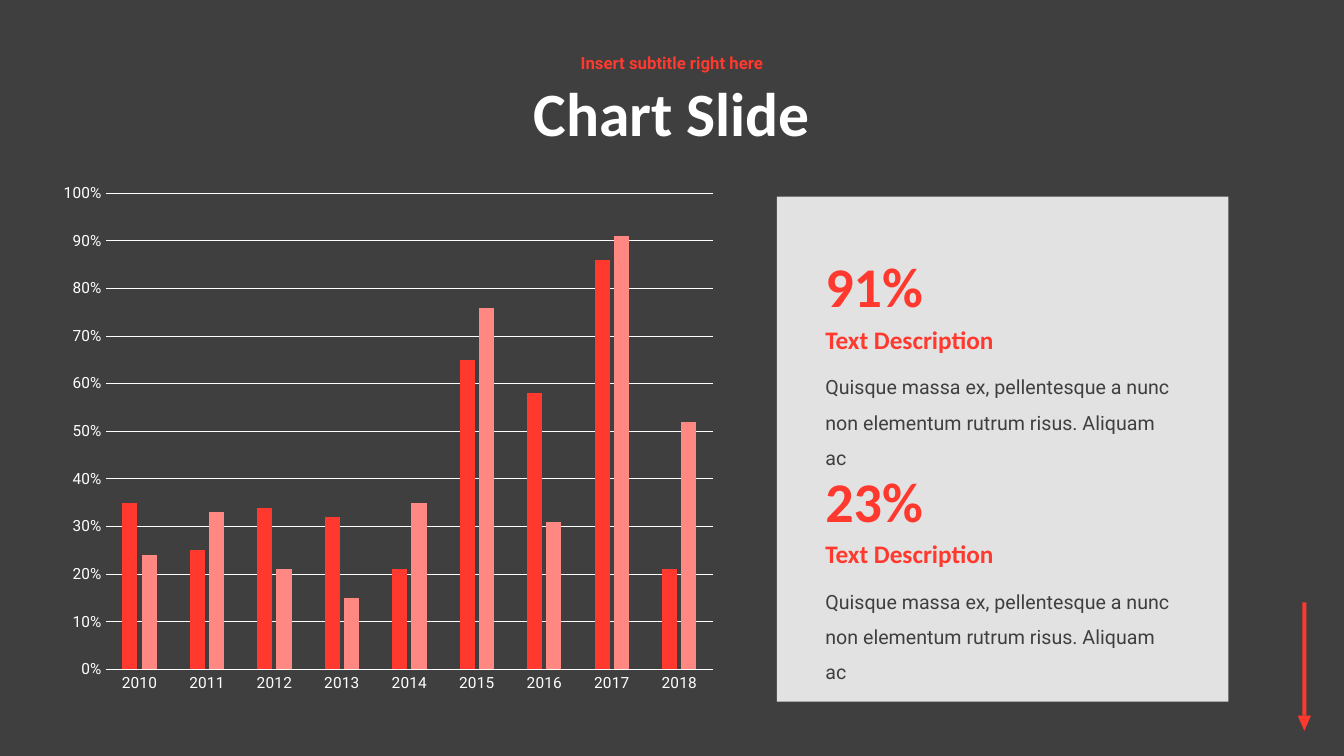
import pptx
import pptx.chart.data
import pptx.dml.color
import pptx.enum.chart
import pptx.enum.shapes
import pptx.enum.text
import pptx.oxml
import pptx.oxml.ns
import pptx.util

RED, PINK, WHITE, CHARCOAL = "FF392E", "FF8882", "FFFFFF", "3F3F3F"
HEADING, BODY = "Calibri", "Roboto"
COLUMNS, ROWS = 160, 90
SHAPES = pptx.enum.shapes.MSO_SHAPE
ANCHORS = pptx.enum.text.MSO_ANCHOR
ALIGNMENTS = pptx.enum.text.PP_ALIGN


def color(value):
    return pptx.dml.color.RGBColor.from_string(value)


class SlideBuilder:
    def __init__(self, presentation):
        self.slide = presentation.slides.add_slide(presentation.slide_layouts[6])
        self.column = presentation.slide_width / COLUMNS
        self.row = presentation.slide_height / ROWS
        background = self.slide.background.fill
        background.solid()
        background.fore_color.rgb = color(CHARCOAL)

    def place(self, left, top, width, height):
        return (
            round(left * self.column),
            round(top * self.row),
            round(width * self.column),
            round(height * self.row),
        )

    def style_font(self, font, name, size, text_color, bold=False):
        font.name = name
        font.size = pptx.util.Pt(size)
        font.color.rgb = color(text_color)
        font.bold = bold

    def shape(self, preset, area, fill, opacity=100, rotation=0):
        shape = self.slide.shapes.add_shape(preset, *self.place(*area))
        shape.shadow.inherit = False
        shape.rotation = rotation
        shape.fill.solid()
        shape.fill.fore_color.rgb = color(fill)
        shape.line.fill.background()
        if opacity < 100:
            fill_color = shape.element.spPr.find(".//" + pptx.oxml.ns.qn("a:srgbClr"))
            alpha = pptx.oxml.parse_xml(
                f'<a:alpha {pptx.oxml.ns.nsdecls("a")} val="{opacity * 1000}"/>'
            )
            fill_color.append(alpha)

    def text(self, area, words, font, size, text_color, bold=False, spacing=1.0,
             anchor=ANCHORS.TOP, alignment=ALIGNMENTS.LEFT):
        box = self.slide.shapes.add_textbox(*self.place(*area))
        frame = box.text_frame
        frame.word_wrap = True
        frame.vertical_anchor = anchor
        paragraph = frame.paragraphs[0]
        paragraph.text = words
        paragraph.alignment = alignment
        paragraph.line_spacing = spacing
        self.style_font(paragraph.font, font, size, text_color, bold)

    def heading(self, area, words, font, size, text_color):
        self.text(area, words, font, size, text_color, bold=True, spacing=0.9,
                  anchor=ANCHORS.MIDDLE, alignment=ALIGNMENTS.CENTER)

    def statistic(self, top, value, label, description):
        left = 97.08
        self.text((left, top, 25.8, 9.24), value, HEADING, 40, RED, bold=True)
        self.text((left, top + 8.6, 35.04, 4.8), label, HEADING, 18, RED, bold=True)
        self.text((left, top + 13.3, 44.64, 9.24), description, BODY, 14, CHARCOAL,
                  spacing=1.5)

    def column_chart(self, area, categories, series_values, series_colors, plot_area):
        data = pptx.chart.data.CategoryChartData(number_format="0%")
        data.categories = categories
        for name, values in series_values.items():
            data.add_series(name, values)
        kind = pptx.enum.chart.XL_CHART_TYPE.COLUMN_CLUSTERED
        chart = self.slide.shapes.add_chart(kind, *self.place(*area), data).chart
        chart.has_legend = False
        chart.has_title = False
        self.style_font(chart.font, BODY, 11, WHITE)
        plot = chart.plots[0]
        plot.gap_width = 219
        plot.overlap = -27
        plot.vary_by_categories = False
        for series, fill in zip(plot.series, series_colors):
            series.invert_if_negative = False
            series.format.fill.solid()
            series.format.fill.fore_color.rgb = color(fill)
        self.style_axes(chart)
        self.lay_out_plot(chart, plot_area)

    def style_axes(self, chart):
        category_axis, value_axis = chart.category_axis, chart.value_axis
        for axis in (category_axis, value_axis):
            axis.major_tick_mark = pptx.enum.chart.XL_TICK_MARK.NONE
            axis.minor_tick_mark = pptx.enum.chart.XL_TICK_MARK.NONE
            self.style_font(axis.tick_labels.font, BODY, 11, WHITE)
        value_axis.minimum_scale = 0
        value_axis.maximum_scale = 1
        value_axis.major_unit = 0.1
        value_axis.has_major_gridlines = True
        value_axis.tick_labels.number_format = "0%"
        value_axis.tick_labels.number_format_is_linked = False
        value_axis.format.line.fill.background()
        for line in (category_axis.format.line, value_axis.major_gridlines.format.line):
            line.color.rgb = color(WHITE)
            line.width = pptx.util.Pt(0.75)

    def lay_out_plot(self, chart, plot_area):
        element = chart.element.find(".//" + pptx.oxml.ns.qn("c:plotArea"))
        for layout in element.findall(pptx.oxml.ns.qn("c:layout")):
            element.remove(layout)
        shares = "".join(
            f'<c:{key} val="{share}"/>' for key, share in zip("xywh", plot_area)
        )
        layout = pptx.oxml.parse_xml(
            f'<c:layout {pptx.oxml.ns.nsdecls("c")}><c:manualLayout>'
            '<c:layoutTarget val="inner"/><c:xMode val="edge"/><c:yMode val="edge"/>'
            f"{shares}</c:manualLayout></c:layout>"
        )
        element.insert(0, layout)


def main():
    presentation = pptx.Presentation()
    presentation.slide_width = pptx.util.Inches(13.33)
    presentation.slide_height = pptx.util.Inches(7.5)
    builder = SlideBuilder(presentation)

    builder.shape(SHAPES.RECTANGLE, (155.04, 71.7, 0.48, 13.5), RED)
    builder.shape(SHAPES.ISOSCELES_TRIANGLE, (154.5, 85.2, 1.56, 1.8), RED, rotation=180)
    builder.shape(SHAPES.RECTANGLE, (92.5, 23.4, 53.76, 60.12), WHITE, opacity=85)

    builder.heading((35, 7.68, 90, 12.36), "Chart Slide", HEADING, 44, WHITE)
    builder.heading((35, 5.4, 90, 4.56), "Insert subtitle right here", BODY, 12, RED)

    builder.column_chart(
        (5.28, 21.72, 81.24, 64.44),
        [str(year) for year in range(2010, 2019)],
        {
            "Series 1": (0.35, 0.25, 0.34, 0.32, 0.21, 0.65, 0.58, 0.86, 0.21),
            "Series 2": (0.24, 0.33, 0.21, 0.15, 0.35, 0.76, 0.31, 0.91, 0.52),
        },
        (RED, PINK),
        (0.09, 0.02, 0.89, 0.88),
    )

    description = ("Quisque massa ex, pellentesque a nunc non elementum "
                   "rutrum risus. Aliquam ac")
    for index, value in enumerate(("91%", "23%")):
        builder.statistic(29.4 + 25.5 * index, value, "Text Description", description)

    presentation.save("out.pptx")


if __name__ == "__main__":
    main()
